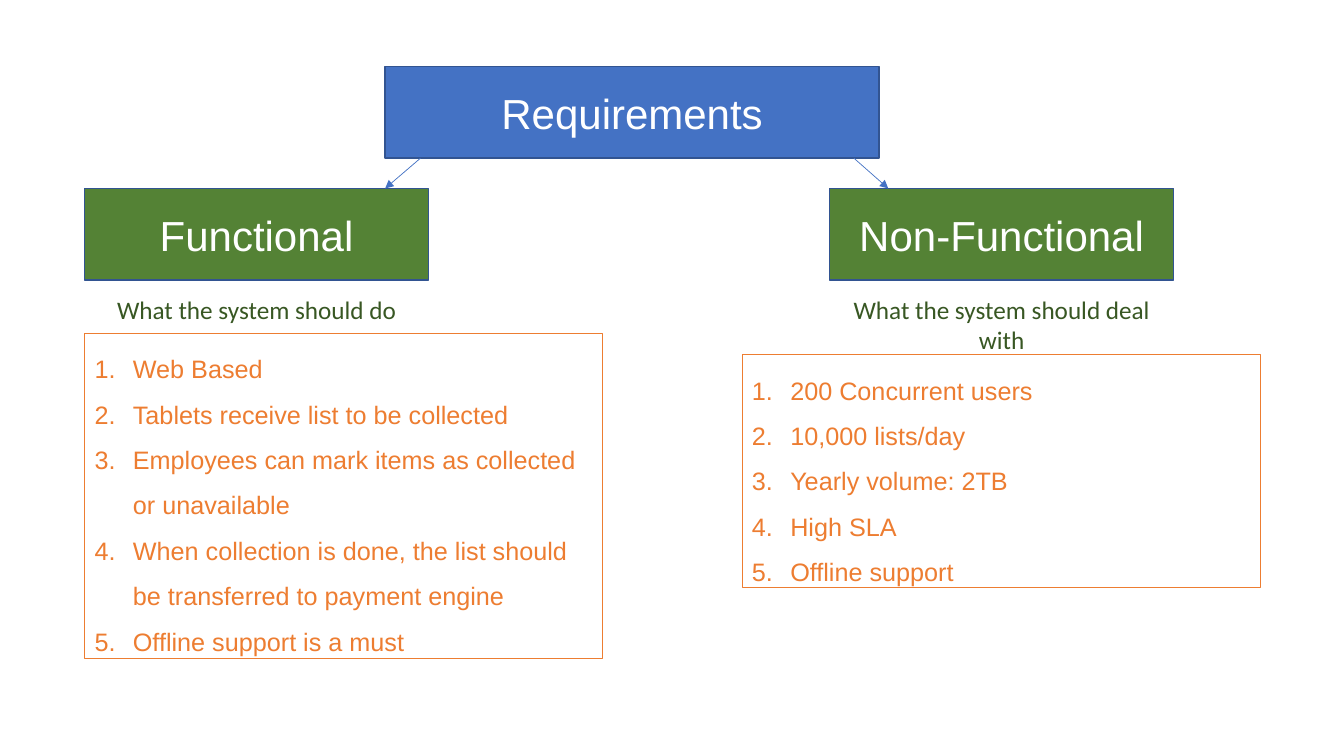
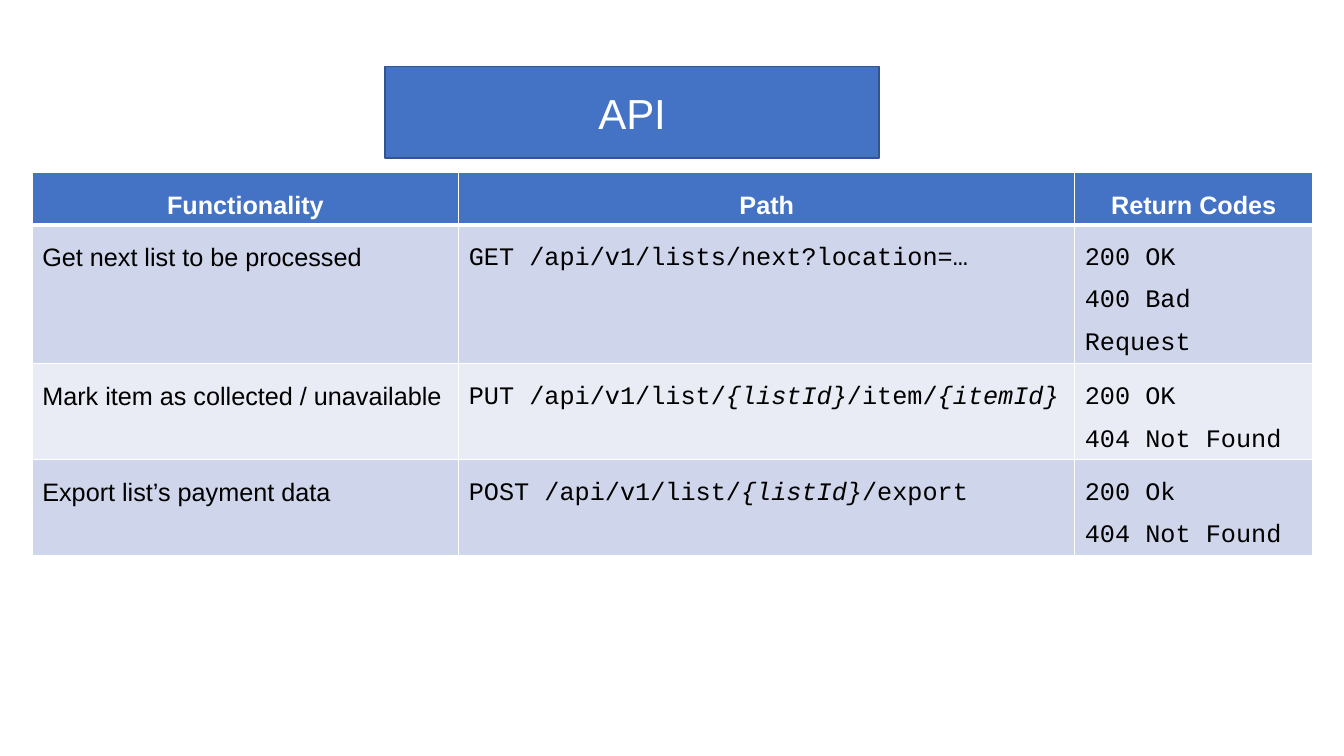
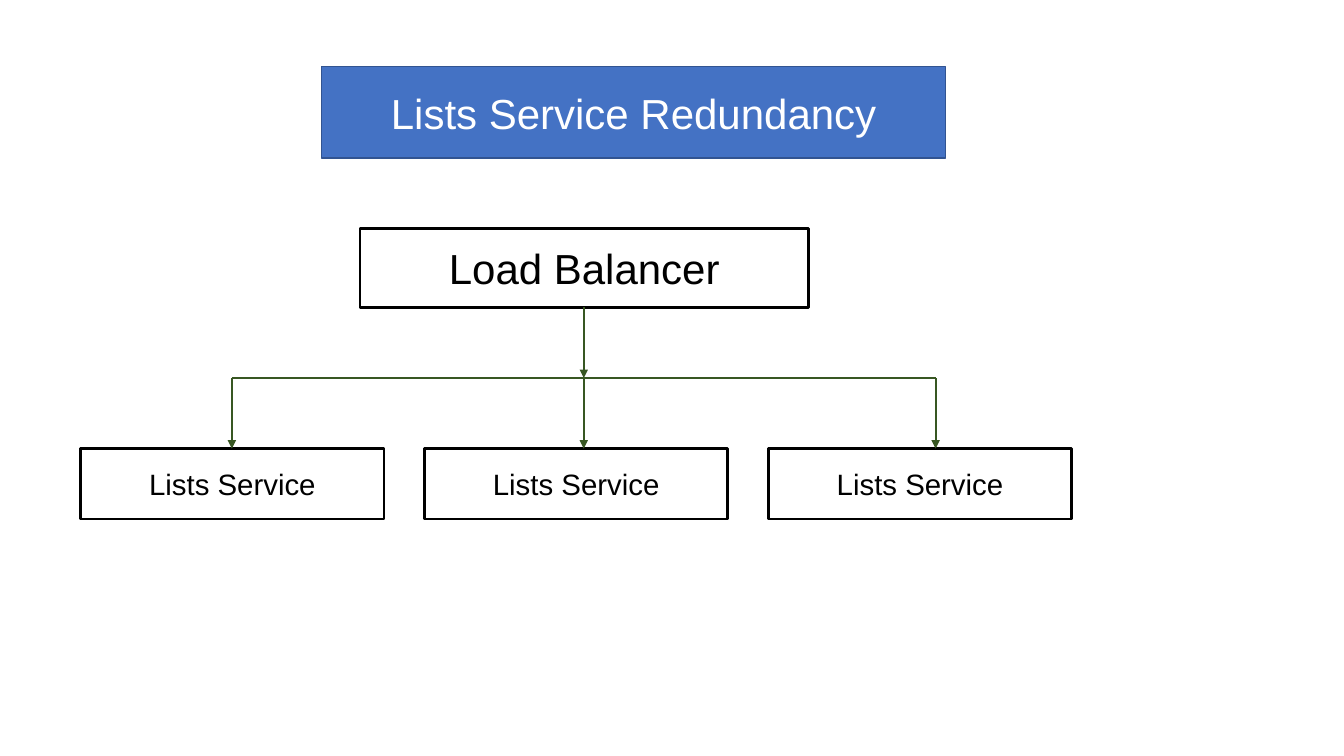
from lxml import etree
from pptx import Presentation
from pptx.dml.color import RGBColor
from pptx.enum import shapes, text
from pptx.oxml import ns
from pptx.util import Inches, Pt

COLORS = {
    "title": "4472C4", "outline": "325491", "branch": "548235",
    "dark_green": "385723", "orange": "ED7D31", "white": "FFFFFF",
    "black": "000000", "band_dark": "CFD5EA", "band_light": "E9EBF5",
}
SANS, CAPTION_FONT, MONO = "Arial", "Calibri", "Courier New"
TITLE_TOP, TITLE_HEIGHT = 0.66, 0.91

# Content: name, box left, caption, caption height, list left/top/height, items
BRANCHES = [
    ("Functional", 0.84, "What the system should do", 0.4, (0.84, 3.31, 3.22), [
        "Web Based",
        "Tablets receive list to be collected",
        "Employees can mark items as collected or unavailable",
        "When collection is done, the list should be transferred to payment engine",
        "Offline support is a must",
    ]),
    ("Non-Functional", 8.23, "What the system should deal with", 0.71, (7.36, 3.52, 2.31), [
        "200 Concurrent users",
        "10,000 lists/day",
        "Yearly volume: 2TB",
        "High SLA",
        "Offline support",
    ]),
]
BRANCH_ARROWS = [((4.17, 1.57), (3.82, 1.87)), ((8.47, 1.57), (8.81, 1.87))]

API_HEADER = ["Functionality", "Path", "Return Codes"]
# Path segments in braces are parameters, set in italics
API_ROWS = [
    ("Get next list to be processed",
     ["GET /api/v1/lists/next?location=…"],
     ["200 OK", "400 Bad Request"]),
    ("Mark item as collected / unavailable",
     ["PUT /api/v1/list/", "{listId}", "/item/", "{itemId}"],
     ["200 OK", "404 Not Found"]),
    ("Export list’s payment data",
     ["POST /api/v1/list/", "{listId}", "/export"],
     ["200 Ok", "404 Not Found"]),
]
API_WIDTHS = [4.23, 6.11, 2.36]
API_HEIGHTS = [0.51, 1.38, 0.95, 0.94]

SERVICES = ["Lists Service"] * 3


def color(name):
    return RGBColor.from_string(COLORS[name])


def add_run(paragraph, content, size, font, ink, bold=False, italic=False):
    run = paragraph.add_run()
    run.text = content
    run.font.size = Pt(size)
    run.font.name = font
    run.font.bold = bold
    run.font.italic = italic
    run.font.color.rgb = color(ink)


def add_box(slide, at, fill, line, weight):
    box = slide.shapes.add_shape(shapes.MSO_SHAPE.RECTANGLE, *map(Inches, at))
    box.shadow.inherit = False
    if fill:
        box.fill.solid()
        box.fill.fore_color.rgb = color(fill)
    else:
        box.fill.background()
    box.line.color.rgb = color(line)
    box.line.width = Pt(weight)
    box.text_frame.word_wrap = True
    return box


def add_label(slide, at, label, size=30, fill=None, line="black", weight=2, ink="black"):
    frame = add_box(slide, at, fill, line, weight).text_frame
    frame.vertical_anchor = text.MSO_ANCHOR.MIDDLE
    paragraph = frame.paragraphs[0]
    paragraph.alignment = text.PP_ALIGN.CENTER
    add_run(paragraph, label, size, SANS, ink)


def add_title(slide, label, left=3.82, width=4.9):
    add_label(slide, (left, TITLE_TOP, width, TITLE_HEIGHT), label,
              fill="title", line="outline", weight=1, ink="white")


def add_line(slide, start, end, ink, weight, arrow=True):
    line = slide.shapes.add_connector(
        shapes.MSO_CONNECTOR.STRAIGHT, *map(Inches, start + end))
    line.line.color.rgb = color(ink)
    line.line.width = Pt(weight)
    if arrow:
        etree.SubElement(line.line._get_or_add_ln(), ns.qn("a:tailEnd"), type="triangle")
    etree.SubElement(line._element.spPr, ns.qn("a:effectLst"))


def add_caption(slide, at, caption):
    frame = slide.shapes.add_textbox(*map(Inches, at)).text_frame
    frame.word_wrap = True
    frame.auto_size = text.MSO_AUTO_SIZE.SHAPE_TO_FIT_TEXT
    paragraph = frame.paragraphs[0]
    paragraph.alignment = text.PP_ALIGN.CENTER
    add_run(paragraph, caption, 18, CAPTION_FONT, "dark_green")


def add_numbered_list(slide, at, items):
    frame = add_box(slide, at, None, "orange", 0.75).text_frame
    frame.vertical_anchor = text.MSO_ANCHOR.TOP
    frame.auto_size = text.MSO_AUTO_SIZE.SHAPE_TO_FIT_TEXT
    for index, item in enumerate(items):
        paragraph = frame.add_paragraph() if index else frame.paragraphs[0]
        paragraph.alignment = text.PP_ALIGN.LEFT
        paragraph.line_spacing = 1.5
        properties = paragraph._p.get_or_add_pPr()
        properties.set("marL", str(Inches(0.38)))
        properties.set("indent", str(Inches(-0.38)))
        etree.SubElement(properties, ns.qn("a:buFont"), typeface="+mj-lt")
        etree.SubElement(properties, ns.qn("a:buAutoNum"), type="arabicPeriod")
        add_run(paragraph, item, 18, SANS, "orange")


def style_cell(cell, fill, top, bottom):
    properties = cell._tc.get_or_add_tcPr()
    for side, weight in (("L", 1), ("R", 1), ("T", top), ("B", bottom)):
        border = etree.SubElement(properties, ns.qn("a:ln" + side), w=str(Pt(weight)))
        solid = etree.SubElement(border, ns.qn("a:solidFill"))
        etree.SubElement(solid, ns.qn("a:srgbClr"), val=COLORS["white"])
    cell.fill.solid()
    cell.fill.fore_color.rgb = color(fill)


def fill_cell(cell, lines, font, ink="black", bold=False, align=text.PP_ALIGN.LEFT):
    """Each line is a list of text segments."""
    frame = cell.text_frame
    for index, segments in enumerate(lines):
        paragraph = frame.add_paragraph() if index else frame.paragraphs[0]
        paragraph.alignment = align
        paragraph.line_spacing = 1.5
        for segment in segments:
            add_run(paragraph, segment, 18, font, ink, bold, segment.startswith("{"))


def build_requirements(slide):
    add_title(slide, "Requirements")
    for name, left, caption, caption_height, (list_left, top, height), items in BRANCHES:
        add_label(slide, (left, 1.87, 3.41, 0.91), name,
                  fill="branch", line="outline", weight=1, ink="white")
        add_caption(slide, (left, 2.87, 3.41, caption_height), caption)
        add_numbered_list(slide, (list_left, top, 5.14, height), items)
    for start, end in BRANCH_ARROWS:
        add_line(slide, start, end, "title", 0.5)


def build_api(slide):
    add_title(slide, "API")
    at = (0.32, 1.71, sum(API_WIDTHS), sum(API_HEIGHTS))
    table = slide.shapes.add_table(
        len(API_HEIGHTS), len(API_WIDTHS), *map(Inches, at)).table
    for column, width in zip(table.columns, API_WIDTHS):
        column.width = Inches(width)
    for row, height in zip(table.rows, API_HEIGHTS):
        row.height = Inches(height)

    # Header
    for column, heading in enumerate(API_HEADER):
        cell = table.cell(0, column)
        style_cell(cell, "title", 1, 3)
        fill_cell(cell, [[heading]], SANS, "white", True, text.PP_ALIGN.CENTER)

    # Endpoints
    for row, (purpose, route, codes) in enumerate(API_ROWS, 1):
        contents = [([[purpose]], SANS), ([route], MONO), ([[code] for code in codes], MONO)]
        for column, (lines, font) in enumerate(contents):
            cell = table.cell(row, column)
            style_cell(cell, "band_dark" if row % 2 else "band_light", 3 if row == 1 else 1, 1)
            fill_cell(cell, lines, font)


def build_redundancy(slide):
    add_title(slide, "Lists Service Redundancy", 3.19, 6.19)
    center, rail, drop, spread = 5.79, 3.75, 0.7, 3.49
    service_left, service_width, service_pitch = 0.8, 3.01, 3.41

    # Load balancer and rail
    add_label(slide, (3.57, 2.27, 4.45, 0.78), "Load Balancer")
    add_line(slide, (center, rail - drop), (center, rail), "dark_green", 1.5)
    add_line(slide, (center - spread, rail), (center + spread, rail), "dark_green", 1.5, False)

    # Services, each under its own arrow
    for index, service in enumerate(SERVICES):
        left = service_left + index * service_pitch
        add_label(slide, (left, rail + drop, service_width, 0.7), service, 21)
        x = center + (index - 1) * spread
        add_line(slide, (x, rail), (x, rail + drop), "dark_green", 1.5)


def main():
    presentation = Presentation()
    presentation.slide_width = Inches(13.33)
    presentation.slide_height = Inches(7.5)
    for build in (build_requirements, build_api, build_redundancy):
        build(presentation.slides.add_slide(presentation.slide_layouts[6]))
    presentation.save("out.pptx")


if __name__ == "__main__":
    main()
